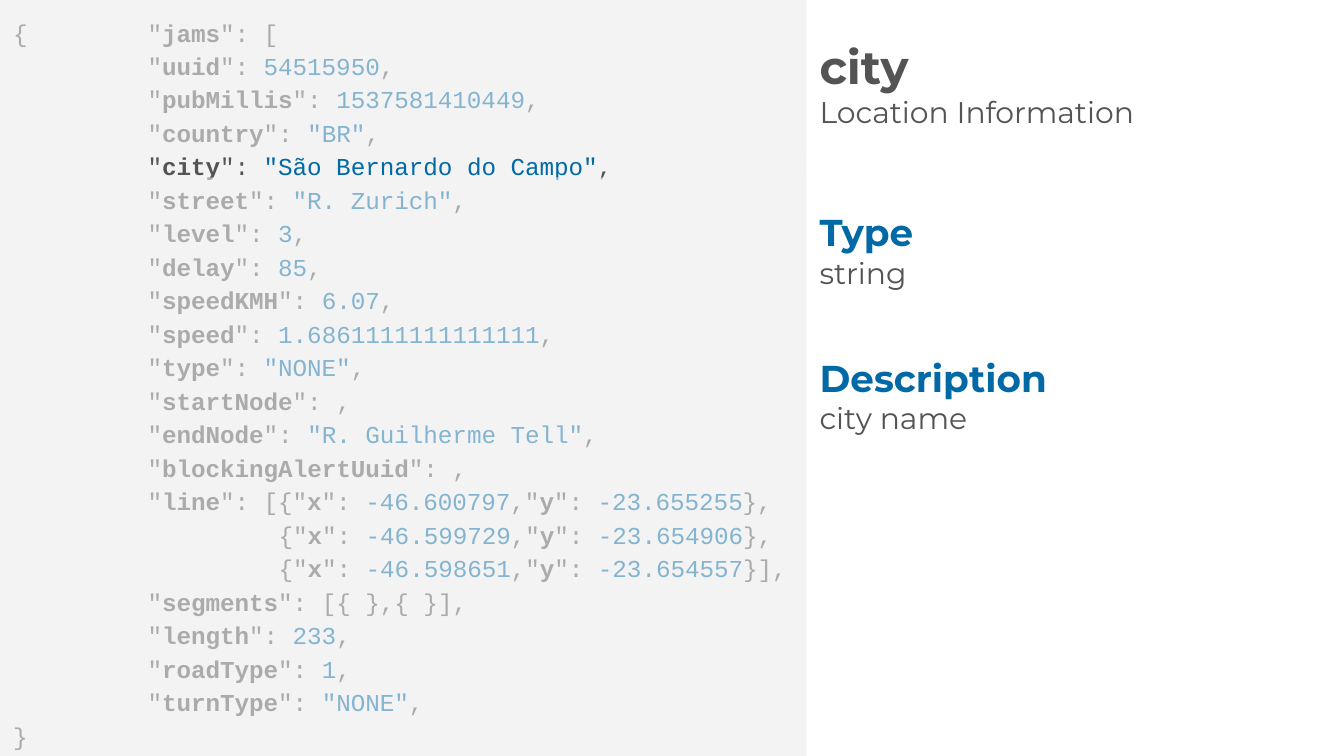
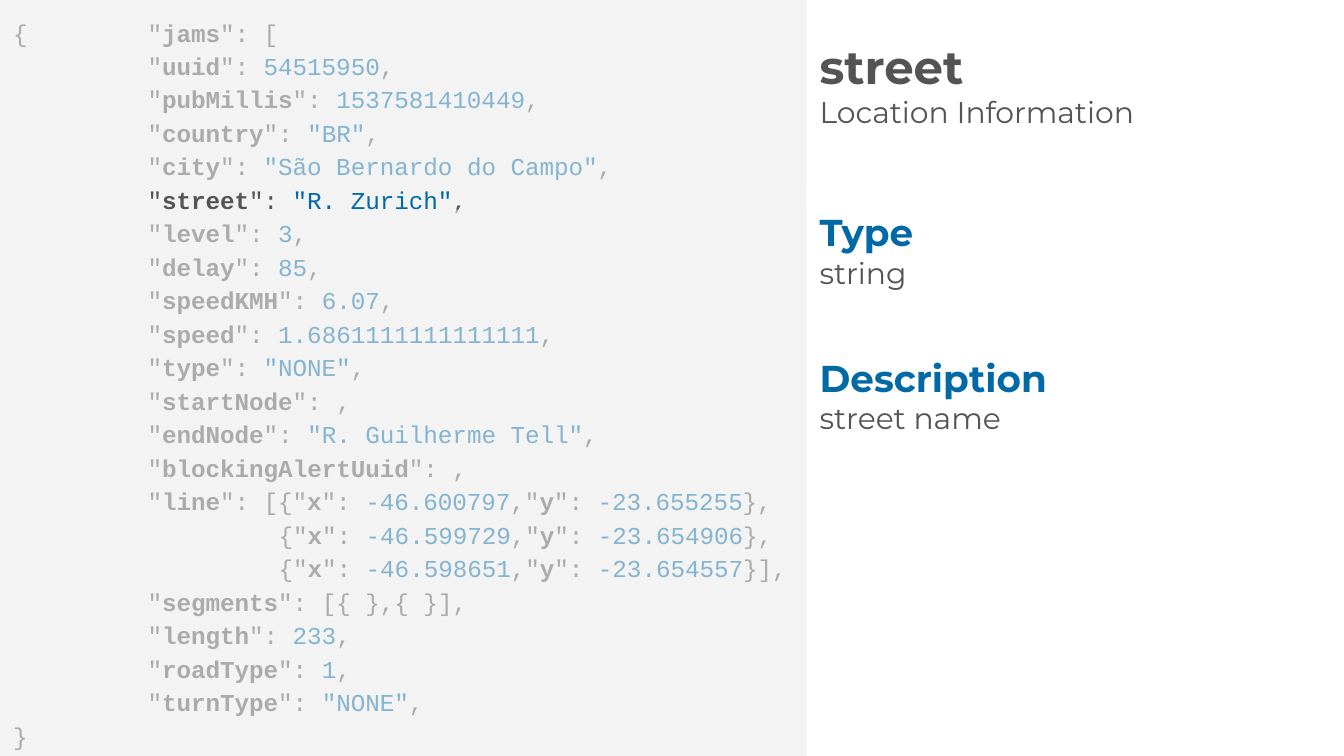
from lxml import etree
from pptx import Presentation
from pptx.dml.color import RGBColor
from pptx.enum import shapes, text
from pptx.oxml import ns
from pptx.util import Pt

# Content: *key* is bold, ~value~ is blue
JAM_LINES = [
    '"*uuid*": ~54515950~,',
    '"*pubMillis*": ~1537581410449~,',
    '"*country*": ~"BR"~,',
    '"*city*": ~"São Bernardo do Campo"~,',
    '"*street*": ~"R. Zurich"~,',
    '"*level*": ~3~,',
    '"*delay*": ~85~,',
    '"*speedKMH*": ~6.07~,',
    '"*speed*": ~1.6861111111111111~,',
    '"*type*": ~"NONE"~,',
    '"*startNode*": ,',
    '"*endNode*": ~"R. Guilherme Tell"~,',
    '"*blockingAlertUuid*": ,',
    '"*line*": [{"*x*": ~-46.600797~,"*y*": ~-23.655255~},',
    '{"*x*": ~-46.599729~,"*y*": ~-23.654906~},',
    '{"*x*": ~-46.598651~,"*y*": ~-23.654557~}],',
    '"*segments*": [{ },{ }],',
    '"*length*": ~233~,',
    '"*roadType*": ~1~,',
    '"*turnType*": ~"NONE"~,',
]
CODE = ['{\t"*jams*": ['] + JAM_LINES + ["}"]

FIELDS = [
    dict(name="city", group="Location Information", type="string", description="city name"),
    dict(name="street", group="Location Information", type="string", description="street name"),
]

# Shared style, lengths in points
GREY, BLUE, PANEL = "545454", "0069A6", "F3F3F3"
CODE_FONT, TEXT_FONT = "Courier New", "Montserrat"
PAGE_W, PAGE_H, PANEL_W = 720, 405, 432
MARGIN = 7.2
KEY_INDENT, POINT_INDENT = 72, 142.2
FIRST_LINE, LINE_PITCH, LINE_GAP = 10, 17.3, 15.84
VEIL_OPACITY = 55


def color(value):
    return RGBColor.from_string(value)


def add_span(para, words, size=16, font=TEXT_FONT, fill=GREY, bold=False):
    span = para.add_run()
    span.text = words
    span.font.size = Pt(size)
    span.font.name = font
    span.font.bold = bold
    span.font.color.rgb = color(fill)


def set_frame(box, anchor=text.MSO_ANCHOR.TOP):
    frame = box.text_frame
    frame.word_wrap = True
    frame.vertical_anchor = anchor
    frame.margin_left = frame.margin_right = Pt(MARGIN)
    frame.margin_top = frame.margin_bottom = Pt(MARGIN)
    return frame


def next_para(frame, index):
    return frame.paragraphs[0] if index == 0 else frame.add_paragraph()


def add_panel(page, top, height, opacity=100):
    panel = page.shapes.add_shape(shapes.MSO_SHAPE.RECTANGLE, 0, Pt(top), Pt(PANEL_W), Pt(height))
    panel.shadow.inherit = False
    panel.line.fill.background()
    panel.fill.solid()
    panel.fill.fore_color.rgb = color(PANEL)
    if opacity < 100:
        tint = panel.fill._xPr.find(".//" + ns.qn("a:srgbClr"))
        etree.SubElement(tint, ns.qn("a:alpha"), val=str(opacity * 1000))
    return panel


def set_indent(para, line):
    props = para._p.get_or_add_pPr()
    if line.startswith("{\t"):
        tabs = etree.SubElement(props, ns.qn("a:tabLst"))
        etree.SubElement(tabs, ns.qn("a:tab"), pos=str(Pt(KEY_INDENT)), algn="l")
    elif line != "}":
        indent = POINT_INDENT if line.startswith("{") else KEY_INDENT
        props.set("marL", str(Pt(indent)))
        props.set("indent", "0")


def add_code(page):
    frame = set_frame(add_panel(page, 0, PAGE_H))
    for index, line in enumerate(CODE):
        para = next_para(frame, index)
        para.alignment = text.PP_ALIGN.LEFT
        para.line_spacing = 1.15
        set_indent(para, line)
        for i, piece in enumerate(line.split("*")):
            for j, words in enumerate(piece.split("~")):
                if words:
                    add_span(para, words, size=13, font=CODE_FONT,
                             fill=BLUE if j % 2 else GREY, bold=i % 2 == 1)


def add_text(page, left, top, width, height, *lines, anchor=text.MSO_ANCHOR.TOP):
    """Each line is a pair of its text and a dict of format arguments."""
    box = page.shapes.add_textbox(Pt(left), Pt(top), Pt(width), Pt(height))
    frame = set_frame(box, anchor)
    for index, (words, style) in enumerate(lines):
        add_span(next_para(frame, index), words, **style)


def add_veils(page, name):
    """Dim all code lines but the one that holds the field."""
    row = next(i for i, line in enumerate(CODE) if f"*{name}*" in line)
    gap_top = FIRST_LINE + row * LINE_PITCH
    gap_bottom = gap_top + LINE_GAP
    add_panel(page, gap_bottom, PAGE_H - gap_bottom, VEIL_OPACITY)
    add_panel(page, 0, gap_top, VEIL_OPACITY)


def add_field_page(deck, field):
    page = deck.slides.add_slide(deck.slide_layouts[6])
    add_code(page)
    # Field name and group
    add_text(page, PANEL_W, 11.5, 288, 66.2,
             (field["name"], dict(size=25, bold=True)), (field["group"], {}),
             anchor=text.MSO_ANCHOR.MIDDLE)
    # Headed facts
    for heading, top in (("Type", 105), ("Description", 183)):
        add_text(page, PANEL_W, top, 139, 36, (heading, dict(size=20, fill=BLUE, bold=True)))
        add_text(page, PANEL_W, top + 24.1, 262, 62.6, (field[heading.lower()], {}))
    add_veils(page, field["name"])


def main():
    deck = Presentation()
    deck.slide_width, deck.slide_height = Pt(PAGE_W), Pt(PAGE_H)
    for field in FIELDS:
        add_field_page(deck, field)
    deck.save("out.pptx")


if __name__ == "__main__":
    main()
